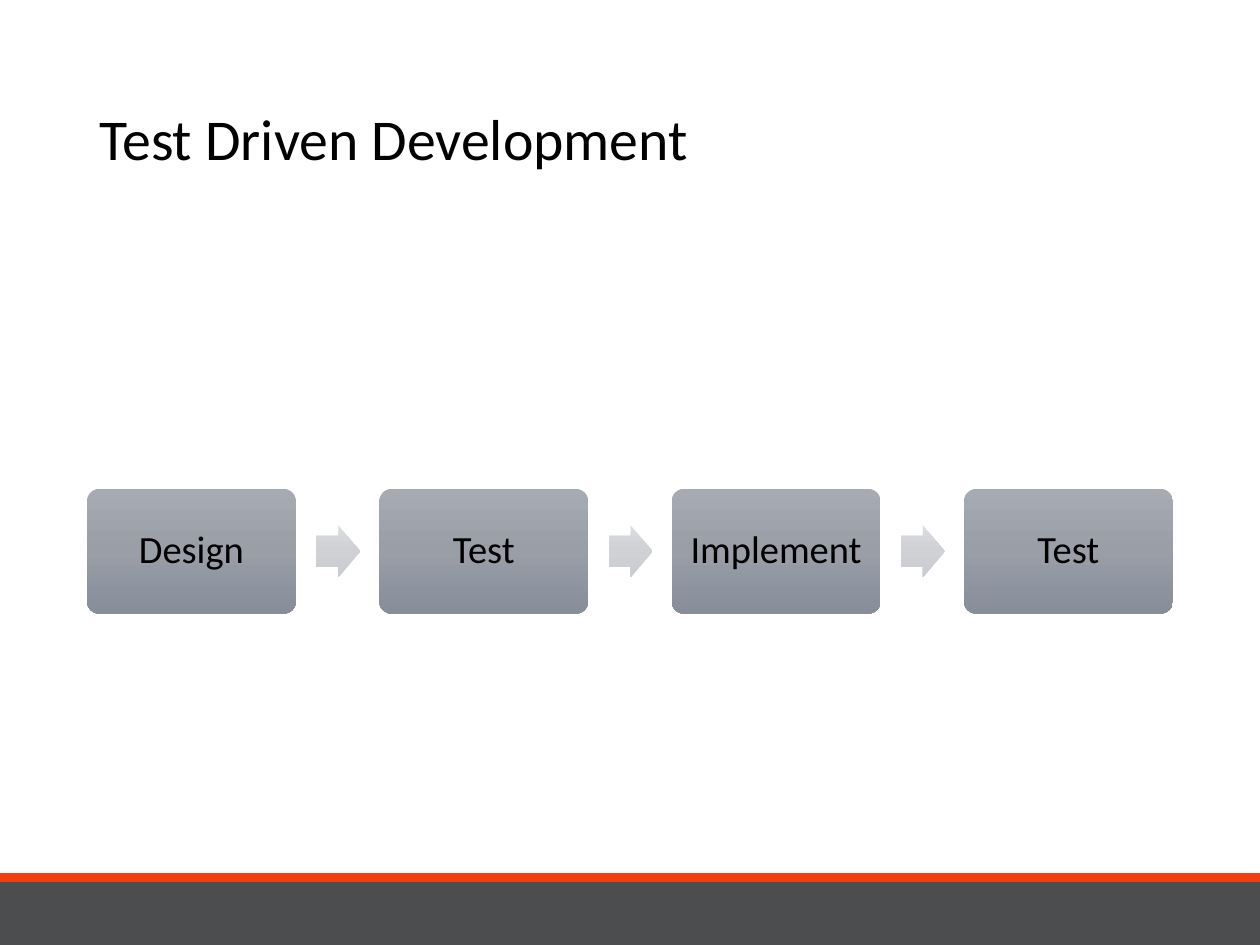
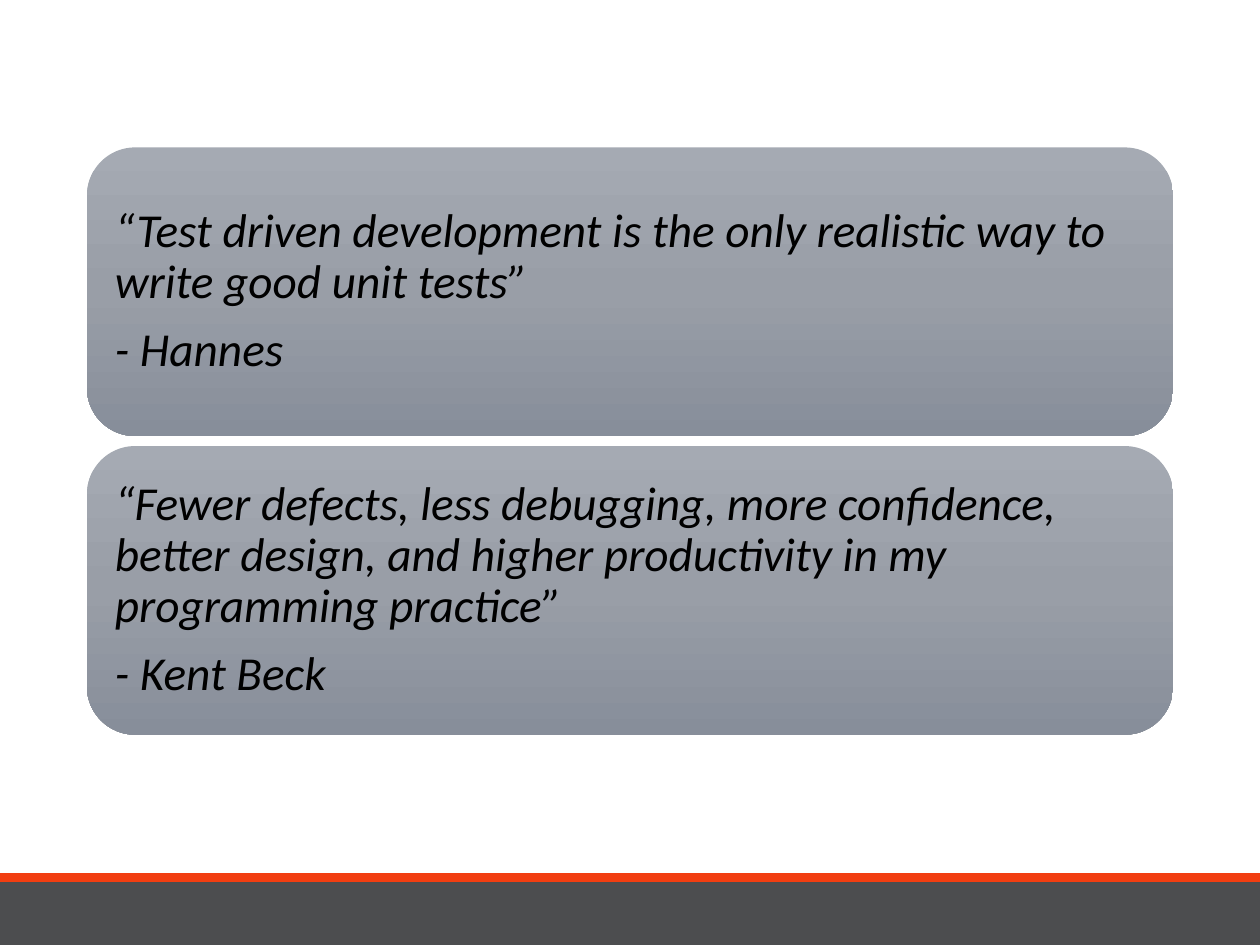
import copy
import pptx
import pptx.util
import pptx.dml.color
import pptx.enum.shapes
import pptx.enum.text

Inches, Pt = pptx.util.Inches, pptx.util.Pt
Kind = pptx.enum.shapes.MSO_SHAPE
Align = pptx.enum.text.PP_ALIGN
Hue = pptx.dml.color.RGBColor.from_string

COLORS = {
    "ink": "000000", "band": "4C4D4F", "stripe": "F23E11",
    "box": ["A5AAB3", "999EA7", "878E9A"],
    "arrow": ["D9DBDE", "D0D1D5", "C9CCD0"],
}
WIDE, HIGH = 10, 7.5
LEFT = 0.69
SPAN = WIDE - 2 * LEFT


def draw(slide, kind, x, y, w, h, color, adj=()):
    shape = slide.shapes.add_shape(kind, Inches(x), Inches(y), Inches(w), Inches(h))
    shape.shadow.inherit = False
    shape.line.fill.background()
    for i, value in enumerate(adj):
        shape.adjustments[i] = value
    tones = COLORS[color]
    if isinstance(tones, str):
        shape.fill.solid()
        shape.fill.fore_color.rgb = Hue(tones)
        return shape
    shape.fill.gradient()
    shape.fill.gradient_angle = 270
    stops = shape._element.spPr.xpath("a:gradFill/a:gsLst")[0]
    stops.insert(1, copy.deepcopy(stops[0]))
    for i, stop in enumerate(shape.fill.gradient_stops):
        stop.position = i / 2
        stop.color.rgb = Hue(tones[i])
    return shape


def write(shape, *lines, size, align=Align.LEFT, italic=False, inset=(0.1, 0.05), after=0):
    frame = shape.text_frame
    frame.word_wrap = True
    frame.vertical_anchor = pptx.enum.text.MSO_ANCHOR.MIDDLE
    frame.margin_left = frame.margin_right = Inches(inset[0])
    frame.margin_top = frame.margin_bottom = Inches(inset[1])
    for i, line in enumerate(lines):
        para = frame.add_paragraph() if i else frame.paragraphs[0]
        para.alignment = align
        para.line_spacing = 0.9
        para.space_after = Pt(size * after)
        run = para.add_run()
        run.text = line
        run.font.name = "Calibri"
        run.font.size = Pt(size)
        run.font.italic = italic
        run.font.color.rgb = Hue(COLORS["ink"])


deck = pptx.Presentation()
deck.slide_width, deck.slide_height = Inches(WIDE), Inches(HIGH)
flow, talk = [deck.slides.add_slide(deck.slide_layouts[6]) for _ in range(2)]

for slide in (flow, talk):
    draw(slide, Kind.RECTANGLE, 0, 7, WIDE, 0.5, "band")
    draw(slide, Kind.RECTANGLE, 0, 6.93, WIDE, 0.07, "stripe")

title = flow.shapes.add_textbox(Inches(LEFT), Inches(0.4), Inches(SPAN), Inches(1.45))
write(title, "Test Driven Development", size=33)

steps = ["Design", "Test", "Implement", "Test"]
step_w, step_h, step_y = 1.66, 0.99, 3.88
pitch = (SPAN - step_w) / (len(steps) - 1)
tip_w, tip_h = 0.35, 0.41
for i, step in enumerate(steps):
    x = LEFT + i * pitch
    box = draw(flow, Kind.ROUNDED_RECTANGLE, x, step_y, step_w, step_h, "box", [0.1])
    write(box, step, size=22, align=Align.CENTER, inset=(0.09, 0.09), after=0.35)
    if i < len(steps) - 1:
        draw(flow, Kind.RIGHT_ARROW, x + step_w + 0.16, step_y + (step_h - tip_h) / 2,
             tip_w, tip_h, "arrow", [0.6, 0.5])

quotes = [
    ("“Test driven development is the only realistic way to write good unit tests”",
     "- Hannes"),
    ("“Fewer defects, less debugging, more confidence, better design, "
     "and higher productivity in my programming practice”",
     "- Kent Beck"),
]
card_h, gap = 2.29, 0.08
for i, quote in enumerate(quotes):
    card = draw(talk, Kind.ROUNDED_RECTANGLE, LEFT, 1.17 + i * (card_h + gap),
                SPAN, card_h, "box")
    write(card, *quote, size=27, italic=True, inset=(0.11, 0.11), after=0.35)

deck.save("out.pptx")
